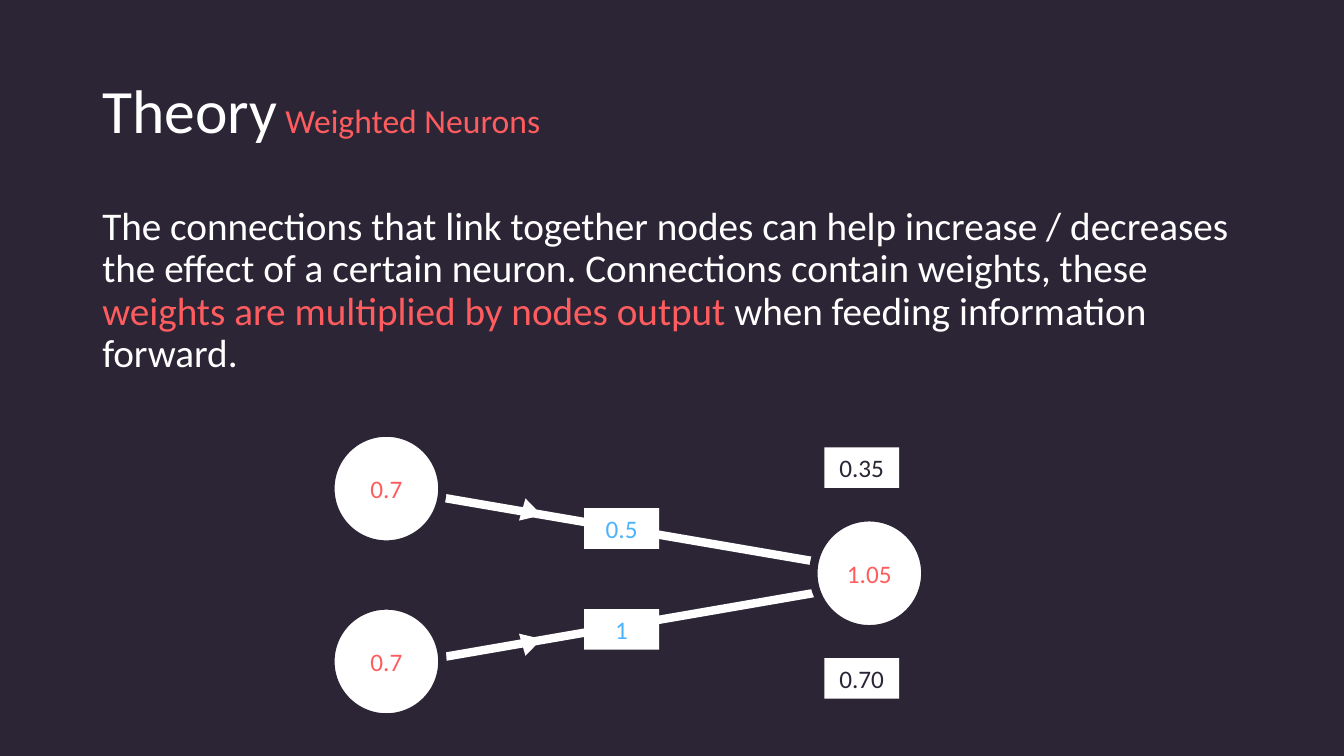
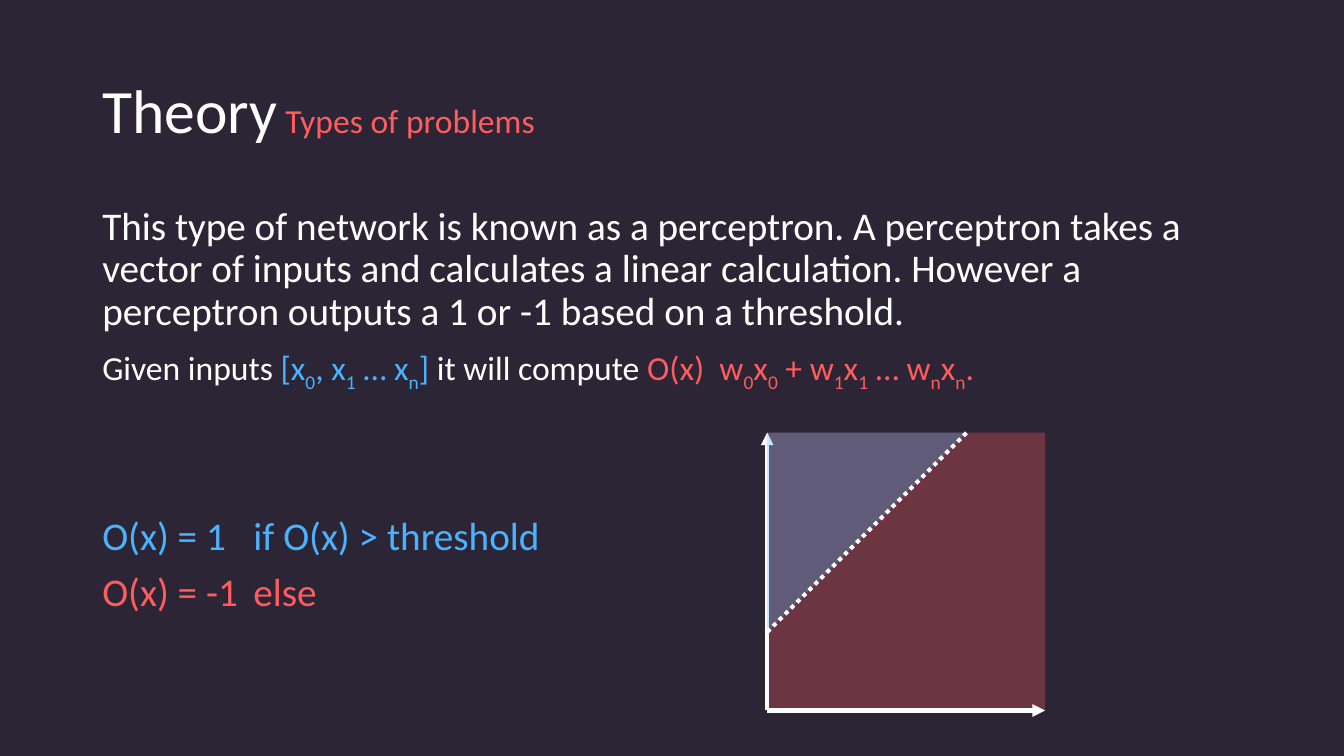
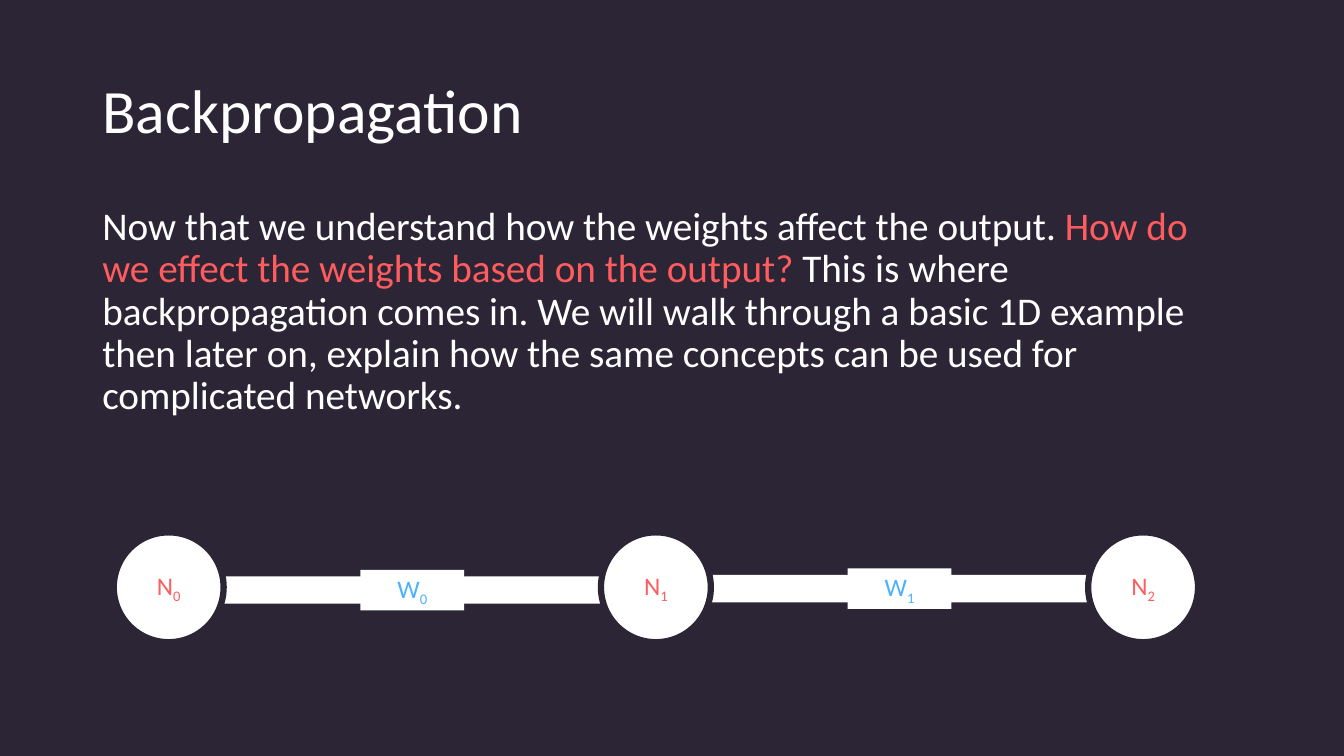
import lxml.etree
import pptx
import pptx.dml.color
import pptx.enum.dml
import pptx.enum.shapes
import pptx.enum.text
import pptx.oxml.ns
import pptx.util

Pt = pptx.util.Pt
SHAPES = pptx.enum.shapes.MSO_SHAPE
ALIGN = pptx.enum.text.PP_ALIGN
ANCHOR = pptx.enum.text.MSO_ANCHOR

FONT = "Calibri"
NIGHT = "2C2536"
WHITE = "FFFFFF"
CORAL = "FE5C5E"
SKY = "4BB3FD"


def colour(hex_code):
    return pptx.dml.color.RGBColor.from_string(hex_code)


def add_xml(parent, tag, **attributes):
    return lxml.etree.SubElement(parent, pptx.oxml.ns.qn(tag), attributes)


class Deck:
    """Holds the shared style and the slide being filled."""

    LEFT, WIDTH = 66, 828

    def __init__(self):
        self.show = pptx.Presentation()
        self.show.slide_width, self.show.slide_height = Pt(960), Pt(540)
        self.slide = None

    def start(self, title, topic=None):
        layout = self.show.slide_layouts.get_by_name("Title Only")
        self.slide = self.show.slides.add_slide(layout)
        backdrop = self.slide.background.fill
        backdrop.solid()
        backdrop.fore_color.rgb = colour(NIGHT)
        heading = self.slide.shapes.title
        heading.left, heading.top = Pt(self.LEFT), Pt(29)
        heading.width, heading.height = Pt(self.WIDTH), Pt(104)
        frame = heading.text_frame
        frame.auto_size = pptx.enum.text.MSO_AUTO_SIZE.NONE
        frame.vertical_anchor = ANCHOR.MIDDLE
        paragraph = frame.paragraphs[0]
        paragraph.alignment = ALIGN.LEFT
        paragraph.line_spacing = 0.9
        self.add_text(paragraph, [(title, WHITE)], 44)
        if topic:
            self.add_text(paragraph, [(" " + topic, CORAL)], 24)

    def add_text(self, paragraph, pieces, size):
        """Add (text, colour) pieces; the character after "_" is a subscript."""
        for text, ink in pieces:
            plain, *marked = text.split("_")
            parts = [(plain, False)]
            for part in marked:
                parts += [(part[0], True), (part[1:], False)]
            for words, lowered in parts:
                if not words:
                    continue
                run = paragraph.add_run()
                run.text = words
                run.font.name = FONT
                run.font.size = Pt(size)
                run.font.color.rgb = colour(ink)
                if lowered:
                    run.font._element.set("baseline", "-25000")

    def body(self, height, *paragraphs):
        """Each paragraph is (pieces, size, space before)."""
        box = self.slide.shapes.add_textbox(
            Pt(self.LEFT), Pt(144), Pt(self.WIDTH), Pt(height))
        frame = box.text_frame
        frame.word_wrap = True
        for number, (pieces, size, gap) in enumerate(paragraphs):
            paragraph = frame.add_paragraph() if number else frame.paragraphs[0]
            paragraph.line_spacing = 0.9
            paragraph.space_before = Pt(gap)
            self.add_text(paragraph, pieces, size)

    def shape(self, kind, centre, width, height, fill=WHITE, opacity=None):
        x, y = centre
        shape = self.slide.shapes.add_shape(
            kind, Pt(x - width / 2), Pt(y - height / 2), Pt(width), Pt(height))
        shape.shadow.inherit = False
        shape.fill.solid()
        shape.fill.fore_color.rgb = colour(fill)
        shape.line.fill.background()
        if opacity:
            tint = next(shape._element.spPr.iter(pptx.oxml.ns.qn("a:srgbClr")))
            add_xml(tint, "a:alpha", val=str(opacity * 1000))
        return shape

    def caption(self, shape, text, ink):
        frame = shape.text_frame
        frame.margin_left = frame.margin_right = 0
        frame.margin_top = frame.margin_bottom = 0
        frame.vertical_anchor = ANCHOR.MIDDLE
        frame.paragraphs[0].alignment = ALIGN.CENTER
        self.add_text(frame.paragraphs[0], [(text, ink)], 18)

    def neuron(self, centre, text, diameter, rim):
        disc = self.shape(SHAPES.OVAL, centre, diameter, diameter)
        disc.line.color.rgb = colour(NIGHT)
        disc.line.width = Pt(rim)
        self.caption(disc, text, CORAL)

    def tag(self, centre, text, ink=SKY, width=53.5):
        self.caption(self.shape(SHAPES.RECTANGLE, centre, width, 29), text, ink)

    def line(self, start, end, weight, arrow=False, dash=None):
        line = self.slide.shapes.add_connector(
            pptx.enum.shapes.MSO_CONNECTOR.STRAIGHT,
            *(Pt(value) for value in (*start, *end)))
        line.line.color.rgb = colour(WHITE)
        line.line.width = Pt(weight)
        if dash:
            line.line.dash_style = dash
        if arrow:
            add_xml(line.line._get_or_add_ln(), "a:tailEnd", type="triangle")
        add_xml(line._element.spPr, "a:effectLst")


def weighted_neurons(deck):
    deck.start("Theory", "Weighted Neurons")
    deck.body(142.5, ([
        ("The connections that link together nodes can help increase / decreases "
         "the effect of a certain neuron. Connections contain weights, these ", WHITE),
        ("weights are multiplied by nodes output ", CORAL),
        ("when feeding information forward.", WHITE)], 28, 10))
    # input y, line start y, line end y, arrow y, arrow turn, weight y, weight, product y, product
    branches = [
        (349, 349, 406, 366, 106.3, 377.5, "0.5", 334, "0.35"),
        (472.5, 476, 418.5, 458.5, 73.7, 449.5, "1", 484.5, "0.70"),
    ]
    for _, start_y, end_y, *_ in branches:
        deck.line((278, start_y), (611, end_y), 6)
    deck.neuron((621, 409.5), "1.05", 80, 6)
    for input_y, _, _, arrow_y, turn, weight_y, weight, product_y, product in branches:
        deck.neuron((276, input_y), "0.7", 80, 6)
        arrow = deck.shape(SHAPES.ISOSCELES_TRIANGLE, (380, arrow_y), 16.5, 14.5)
        arrow.rotation = turn
        deck.tag((444, weight_y), weight)
        deck.tag((615.5, product_y), product, NIGHT)


def types_of_problems(deck):
    deck.start("Theory", "Types of problems")
    deck.body(
        364,
        ([("This type of network is known as a perceptron. A perceptron takes a "
           "vector of inputs and calculates a linear calculation. However a "
           "perceptron outputs a 1 or -1 based on a threshold.", WHITE)], 28, 10),
        ([("Given inputs ", WHITE), ("[x_0, x_1 … x_n] ", SKY),
          ("it will compute ", WHITE),
          ("O(x)  w_0x_0 + w_1x_1 … w_nx_n.", CORAL)], 24, 10),
        ([("O(x) = 1\tif O(x) > threshold", SKY)], 28, 91),
        ([("O(x) = -1\telse", CORAL)], 28, 10))
    left, top, side, corner = 548, 309, 198.5, 142.5
    origin = (left, top + side)
    deck.shape(SHAPES.RECTANGLE, (left + side / 2, top + side / 2),
               side, side, CORAL, 30)
    deck.line(origin, (left, top), 3, arrow=True)
    deck.line(origin, (left + side, top + side), 3, arrow=True)
    region = deck.shape(SHAPES.ISOSCELES_TRIANGLE,
                        (left + corner / 2, top + corner / 2),
                        corner, corner, SKY, 30)
    region.adjustments[0] = 1
    region.rotation = 180
    deck.line((left, top + corner), (left + corner, top), 3,
              dash=pptx.enum.dml.MSO_LINE.ROUND_DOT)


def backpropagation(deck):
    deck.start("Backpropagation")
    deck.body(191.5, ([
        ("Now that we understand how the weights affect the output. ", WHITE),
        ("How do we effect the weights based on the output? ", CORAL),
        ("This is where backpropagation comes in. We will walk through a basic "
         "1D example then later on, explain how the same concepts can be used "
         "for complicated networks.", WHITE)], 28, 10))
    neuron_xs = [120.5 + 348 * step for step in range(3)]
    for number, x in enumerate(neuron_xs[:-1]):
        y = 421.5 - number
        deck.shape(SHAPES.RECTANGLE, (x + 175.5, y), 284.5, 19.5)
        deck.tag((x + 174, y), f"W_{number}", width=74)
    for number, x in enumerate(neuron_xs):
        deck.neuron((x, 419.5), f"N_{number}", 78.5, 4.5)


def main():
    deck = Deck()
    weighted_neurons(deck)
    types_of_problems(deck)
    backpropagation(deck)
    deck.show.save("out.pptx")


if __name__ == "__main__":
    main()
